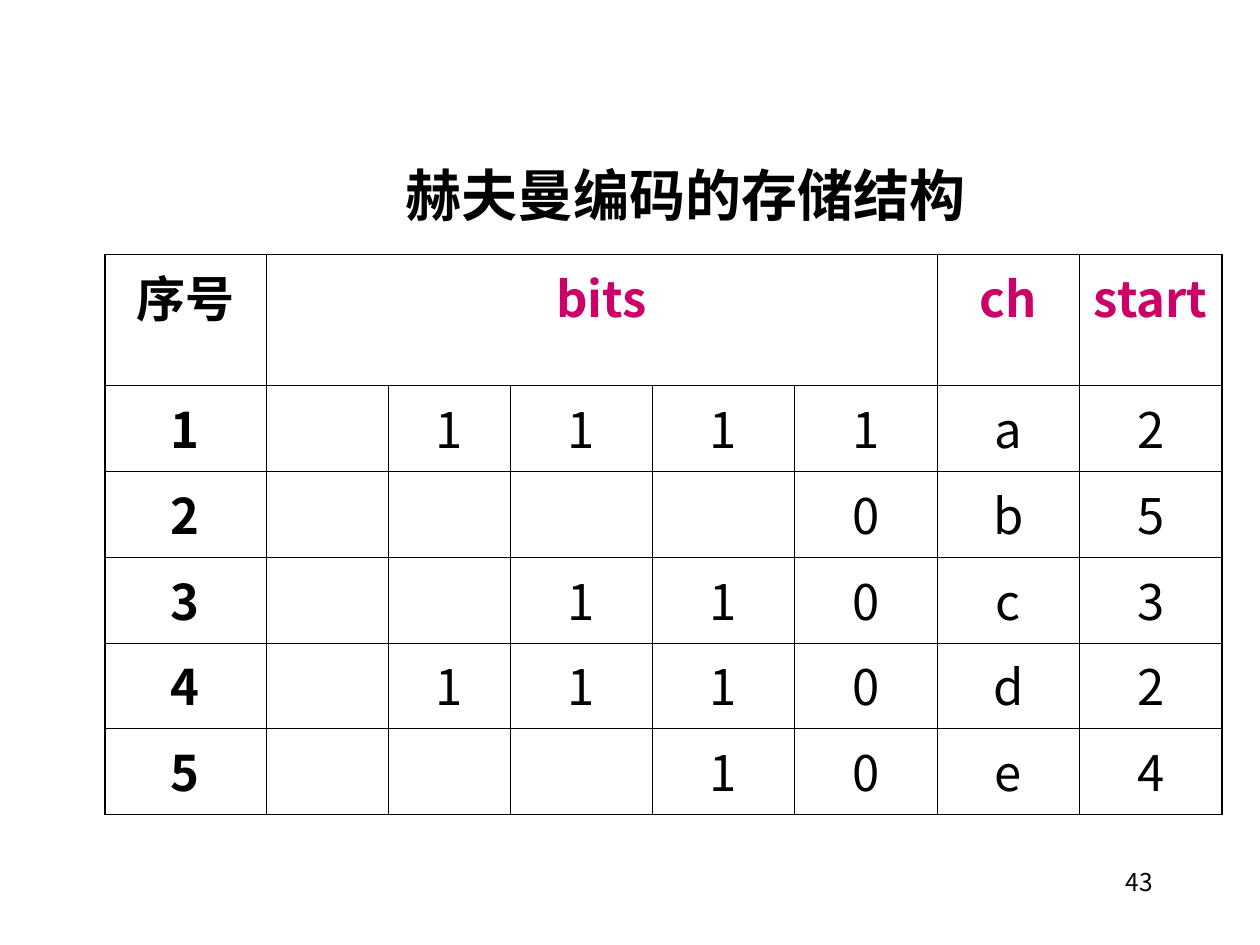
from dataclasses import dataclass

from lxml import etree
from pptx import Presentation, util as u
from pptx.dml.color import RGBColor
from pptx.enum import text
from pptx.oxml import ns


@dataclass(frozen=True)
class Theme:
    ink: str = "000000"
    accent: str = "CC0066"
    title_font: str = "Noto Sans CJK SC"
    body_font: str = "Noto Sans CJK JP"
    title_size: int = 32
    table_size: int = 28
    number_size: int = 14
    inner_line: float = 0.45
    outer_line: float = 1.08


theme = Theme()


def add_run(p, words, size, font=theme.body_font, color=theme.ink, bold=False):
    """Add a run with the same typeface for Latin and East Asian text."""
    r = p.add_run()
    r.text = words
    r.font.size = u.Pt(size)
    r.font.name = font
    r.font.bold = bold
    r.font.color.rgb = RGBColor.from_string(color)
    etree.SubElement(r.font._element, ns.qn("a:ea"), typeface=font)


def set_borders(cell, widths):
    """Draw the cell's edges; widths are points for left, right, top, bottom."""
    tc_pr = cell._tc.get_or_add_tcPr()
    for i, (side, width) in enumerate(zip("LRTB", widths)):
        line = etree.Element(ns.qn(f"a:ln{side}"), w=str(u.Pt(width)))
        fill = etree.SubElement(line, ns.qn("a:solidFill"))
        etree.SubElement(fill, ns.qn("a:srgbClr"), val=theme.ink)
        tc_pr.insert(i, line)


prs = Presentation()
prs.slide_width, prs.slide_height = u.Cm(25.4), u.Cm(19.05)
s = prs.slides.add_slide(prs.slide_layouts[6])

# Title
title = s.shapes.add_textbox(u.Cm(7.92), u.Cm(3.12), u.Cm(11.81), u.Cm(1.63))
tf = title.text_frame
tf.word_wrap = False
tf.auto_size = text.MSO_AUTO_SIZE.SHAPE_TO_FIT_TEXT
add_run(tf.paragraphs[0], "赫夫曼编码的存储结构", theme.title_size,
        theme.title_font, bold=True)

# Code table: bits are right-aligned in five columns, ending at the last one
BIT_COLS = 5
codes = [("1111", "a", "2"), ("0", "b", "5"), ("110", "c", "3"),
         ("1110", "d", "2"), ("10", "e", "4")]
rows = [["序号", "bits", *[""] * (BIT_COLS - 1), "ch", "start"]]
for number, (bits, ch, start) in enumerate(codes, 1):
    rows.append([str(number), *[""] * (BIT_COLS - len(bits)), *bits, ch, start])

col_widths = [3.25] + [2.46] * 2 + [2.87] * 5
row_heights = [2.64] + [1.73] * len(codes)
last_row, last_col = len(row_heights) - 1, len(col_widths) - 1
frame = s.shapes.add_table(len(row_heights), len(col_widths), u.Cm(2.11), u.Cm(5.13),
                           u.Cm(sum(col_widths)), u.Cm(sum(row_heights)))
table = frame.table
table.first_row = table.horz_banding = False
for col, width in zip(table.columns, col_widths):
    col.width = u.Cm(width)
for row, height in zip(table.rows, row_heights):
    row.height = u.Cm(height)
table.cell(0, 1).merge(table.cell(0, BIT_COLS))

for i, row in enumerate(rows):
    for j, words in enumerate(row):
        cell = table.cell(i, j)
        cell.fill.background()
        on_edge = (j == 0, j == last_col, i == 0, i == last_row)
        set_borders(cell, [theme.outer_line if edge else theme.inner_line
                           for edge in on_edge])
        if words:
            p = cell.text_frame.paragraphs[0]
            p.alignment = text.PP_ALIGN.CENTER
            add_run(p, words, theme.table_size,
                    color=theme.accent if i == 0 and j > 0 else theme.ink,
                    bold=i == 0 or j == 0)

# Page number
page = s.shapes.add_textbox(u.Cm(18.21), u.Cm(17.35), u.Cm(5.28), u.Cm(1.27))
tf = page.text_frame
tf.word_wrap = True
p = tf.paragraphs[0]
p.alignment = text.PP_ALIGN.RIGHT
add_run(p, "43", theme.number_size)

prs.save("out.pptx")
